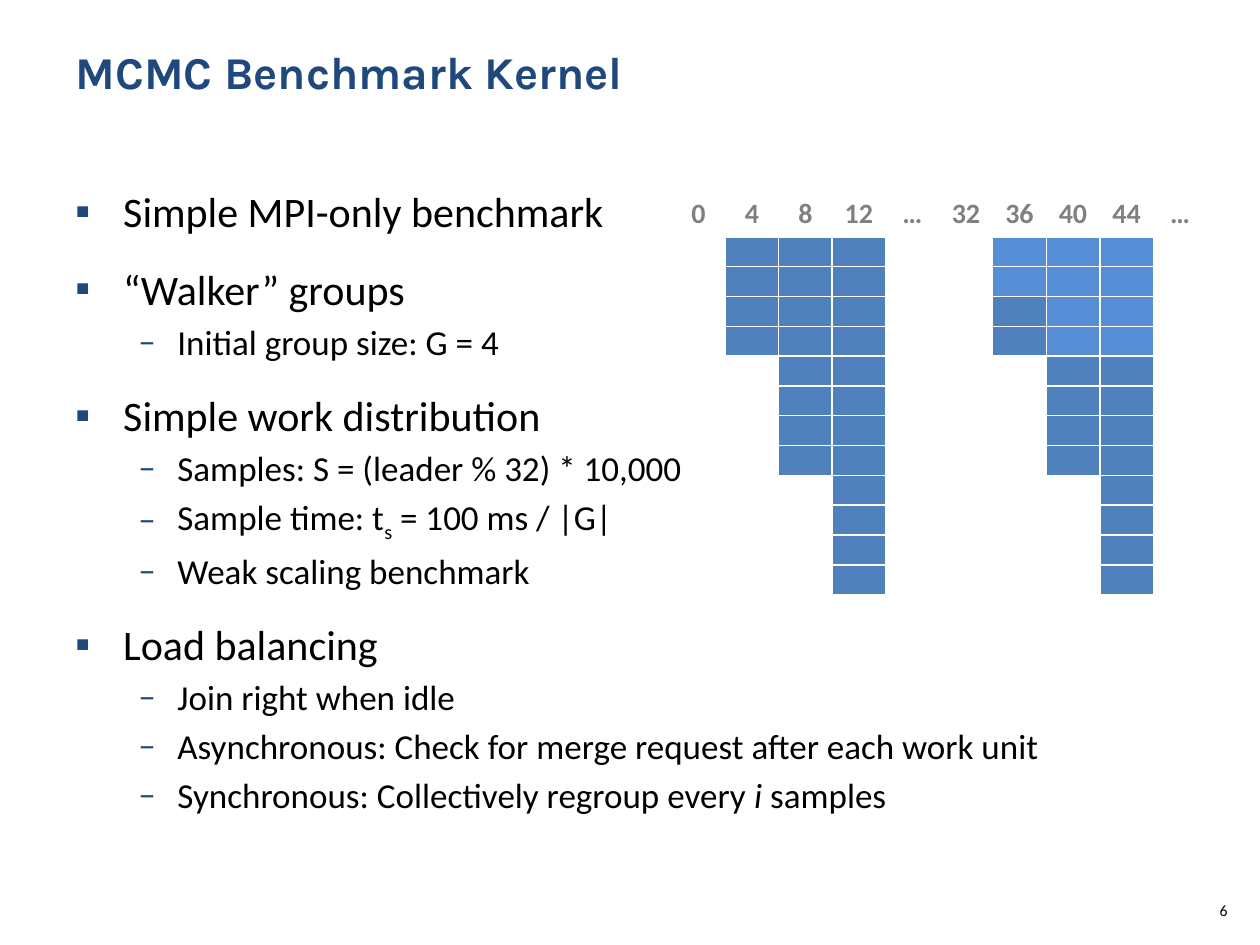
"""Build the MCMC benchmark kernel slide."""
from lxml import etree
from pptx import Presentation
from pptx import util as u
from pptx.dml.color import RGBColor
from pptx.enum import text as t
from pptx.oxml import ns

NAVY = RGBColor(0x1F, 0x49, 0x7D)
BLUE = RGBColor(0x4F, 0x81, 0xBD)
LIGHT = RGBColor(0x55, 0x8E, 0xD5)
GREY = RGBColor(0x80, 0x80, 0x80)
BLACK = RGBColor(0, 0, 0)
WHITE = RGBColor(0xFF, 0xFF, 0xFF)


def write(par, words, size=20, font="Calibri", color=BLACK, bold=False, slant=False, base=None):
    run = par.add_run()
    run.text = words
    run.font.size = u.Pt(size)
    run.font.name = font
    run.font.color.rgb = color
    run.font.bold = bold
    run.font.italic = slant
    if base:
        run.font._element.set("baseline", str(base))


def node(top, name, **keys):
    return etree.SubElement(top, ns.qn("a:" + name), {k: str(v) for k, v in keys.items()})


deck = Presentation()
deck.slide_width = W = u.Inches(10)
deck.slide_height = H = u.Inches(7.5)
slide = deck.slides.add_slide(deck.slide_layouts[5])

title = slide.shapes.title
title.left, title.top = int(0.05 * W), int(0.04 * H)
title.width, title.height = int(0.9 * W), int(0.14 * H)
title.text_frame.vertical_anchor = t.MSO_ANCHOR.TOP
head = title.text_frame.paragraphs[0]
head.alignment = t.PP_ALIGN.LEFT
write(head, "MCMC Benchmark Kernel", size=26, font="Karla", color=NAVY, bold=True)

LEADS = ["0", "4", "8", "12", "…", "32", "36", "40", "44", "…"]
DEPTH = {1: 4, 2: 8, 3: 12, 6: 4, 7: 8, 8: 12}
PALE = {6: 2, 7: 4, 8: 4}
ROWS = 12
wide, top, high = u.Inches(4.25), u.Inches(0.38), u.Inches(2.84)
frame = slide.shapes.add_table(ROWS + 1, len(LEADS), u.Inches(5.33), int(0.2 * H), wide, top + high)
grid = frame.table
grid.first_row = grid.horz_banding = False
for col in grid.columns:
    col.width = wide // len(LEADS)
for r, row in enumerate(grid.rows):
    row.height = high // ROWS if r else top
    for c, cell in enumerate(row.cells):
        cell.margin_left = cell.margin_right = cell.margin_top = 0
        cell.margin_bottom = 0 if r else u.Inches(0.05)
        cell.vertical_anchor = t.MSO_ANCHOR.BOTTOM
        for side in ("lnL", "lnR", "lnT", "lnB"):
            line = node(cell._tc.get_or_add_tcPr(), side, w=u.Pt(1))
            node(node(line, "solidFill"), "srgbClr", val=WHITE)
        if 0 < r <= DEPTH.get(c, 0):
            cell.fill.solid()
            cell.fill.fore_color.rgb = LIGHT if r <= PALE.get(c, 0) else BLUE
        else:
            cell.fill.background()
        par = cell.text_frame.paragraphs[0]
        par.alignment = t.PP_ALIGN.CENTER
        if r == 0:
            write(par, LEADS[c], size=16, color=GREY, bold=True)
        else:
            node(par._p, "endParaRPr", sz=600)

POINTS = [
    (0, ["Simple MPI-only benchmark"]),
    (0, ["“Walker” groups"]),
    (1, ["Initial group size: G = 4"]),
    (0, ["Simple work distribution"]),
    (1, ["Samples: S = (leader % 32) * 10,000"]),
    (1, ["Sample time: t", ("s", {"base": -25000}), " = 100 ms / |G|"]),
    (1, ["Weak scaling benchmark"]),
    (0, ["Load balancing"]),
    (1, ["Join right when idle"]),
    (1, ["Asynchronous: Check for merge request after each work unit"]),
    (1, ["Synchronous: Collectively regroup every ", ("i", {"slant": True}), " samples"]),
]
LEVELS = [("▪", 0.38, 0.38, 24, 15.5), ("–", 0.81, 0.31, 20, 3.8)]
body = slide.shapes.add_textbox(int(0.05 * W), int(0.19 * H), int(0.9 * W), int(0.7 * H)).text_frame
body.word_wrap = True
for n, (level, parts) in enumerate(POINTS):
    mark, left, hang, size, gap = LEVELS[level]
    par = body.add_paragraph() if n else body.paragraphs[0]
    par.level = level
    props = par._p.get_or_add_pPr()
    props.set("marL", str(u.Inches(left)))
    props.set("indent", str(-u.Inches(hang)))
    node(node(props, "buClr"), "srgbClr", val=NAVY)
    node(props, "buFont", typeface="Calibri")
    node(props, "buChar", char=mark)
    if n:
        par.space_before = u.Pt(gap)
    for part in parts:
        words, style = (part, {}) if isinstance(part, str) else part
        write(par, words, size=size, **style)

foot = slide.shapes.add_textbox(u.Inches(9.42), u.Inches(7.1), u.Inches(0.42), u.Inches(0.4)).text_frame
foot.word_wrap = True
foot.paragraphs[0].alignment = t.PP_ALIGN.RIGHT
write(foot.paragraphs[0], "6", size=9)

deck.save("out.pptx")
